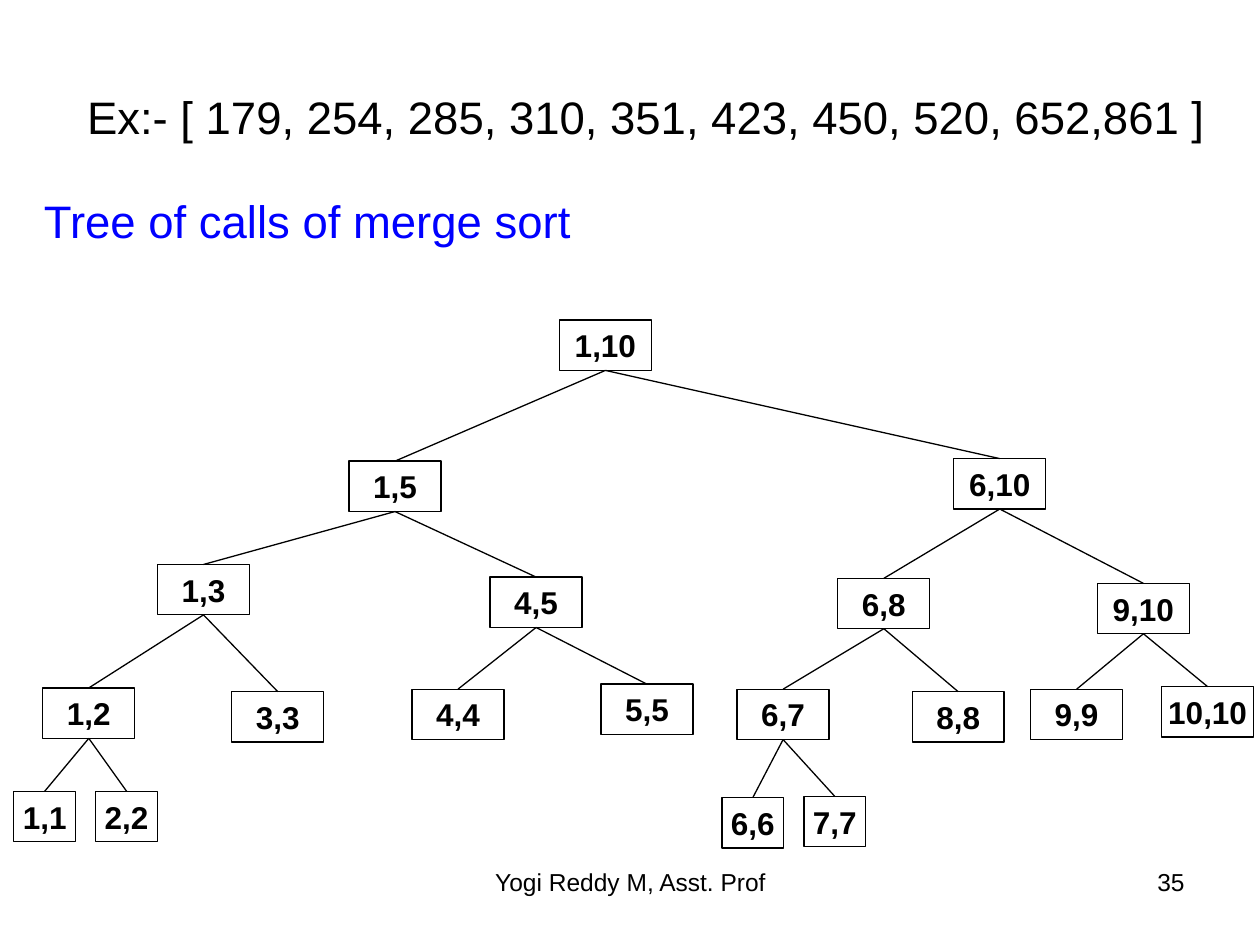
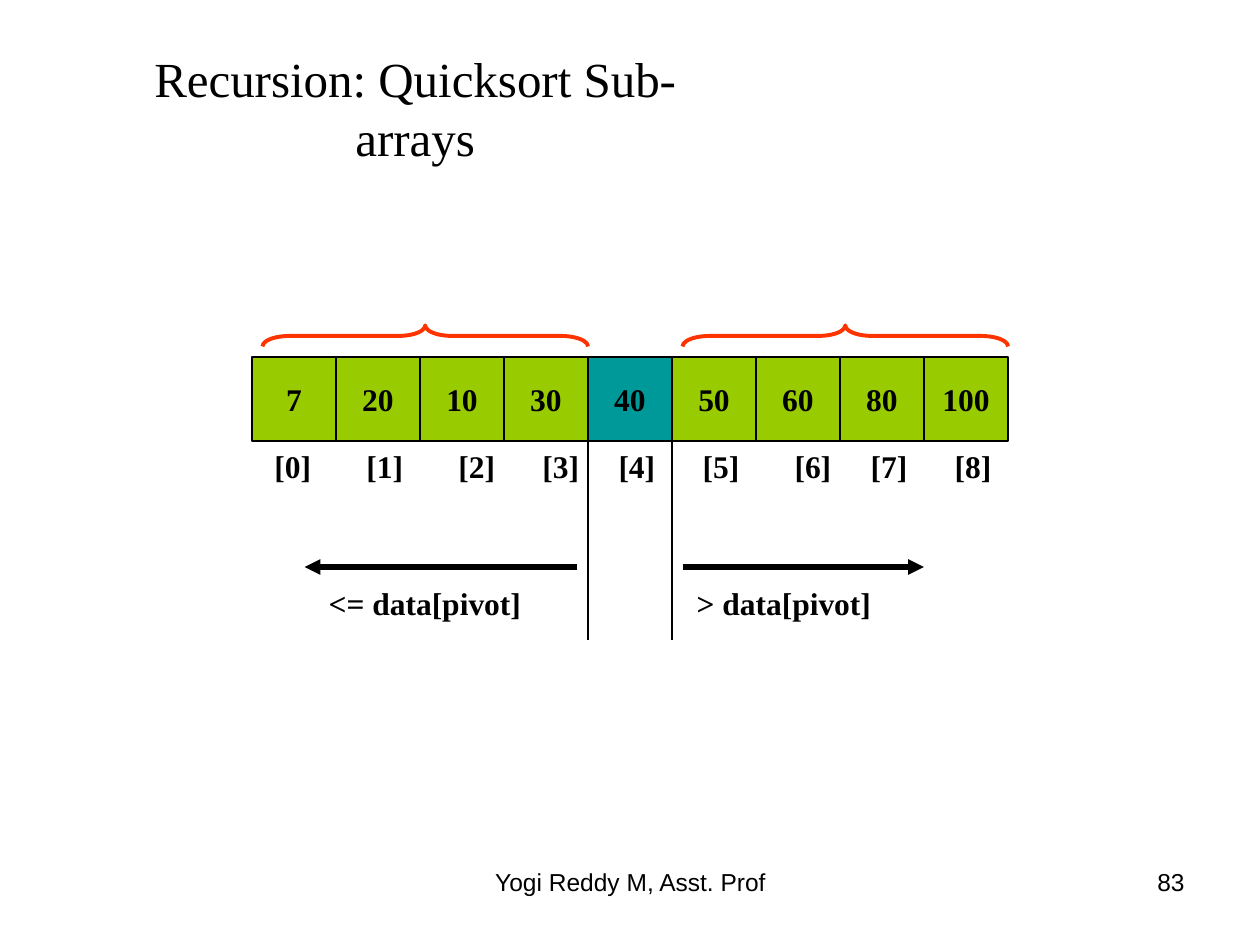
"""Build two slides: the call tree of merge sort and the sub-arrays of quicksort."""
from itertools import accumulate

from lxml.etree import SubElement
from pptx import Presentation
from pptx.dml.color import RGBColor
from pptx.enum.shapes import MSO_CONNECTOR, MSO_SHAPE
from pptx.enum.text import MSO_ANCHOR, PP_ALIGN
from pptx.oxml.ns import qn
from pptx.util import Inches, Pt

BLACK = RGBColor(0x00, 0x00, 0x00)
WHITE = RGBColor(0xFF, 0xFF, 0xFF)
BLUE = RGBColor(0x00, 0x00, 0xFF)
GREEN = RGBColor(0x99, 0xCC, 0x00)
TEAL = RGBColor(0x00, 0x99, 0x99)
RED = RGBColor(0xFF, 0x33, 0x00)
SANS, SERIF = "Arial", "Times New Roman"
LEFT, MID, RIGHT = PP_ALIGN.LEFT, PP_ALIGN.CENTER, PP_ALIGN.RIGHT
COLS, ROWS = 100, 75

SPOTS = {
    (1, 10): (44.4, 25.4),
    (1, 5): (27.7, 36.6), (6, 10): (75.7, 36.4),
    (1, 3): (12.5, 44.8), (4, 5): (38.9, 45.8),
    (6, 8): (66.5, 45.9), (9, 10): (87.1, 46.3),
    (1, 2): (3.4, 54.6), (3, 3): (18.4, 54.9),
    (4, 4): (32.7, 54.7), (5, 5): (47.7, 54.3),
    (6, 7): (58.5, 54.7), (8, 8): (72.4, 54.9),
    (9, 9): (81.8, 54.7), (10, 10): (92.2, 54.5),
    (1, 1): (1.1, 62.8), (2, 2): (7.6, 62.8),
    (6, 6): (57.3, 63.3), (7, 7): (63.8, 63.2),
}
DATA = [7, 20, 10, 30, 40, 50, 60, 80, 100]
PIVOT = 4
CELL = 20 / 3
LABEL_GAPS = [7.3, 7.3, 6.67, 6.04, 6.67, 7.3, 6.04, 6.67]


class Deck:
    """Holds the style and the current slide, placed on a grid of columns and rows."""

    def __init__(self):
        self.file = Presentation()
        self.file.slide_width = Inches(10)
        self.file.slide_height = Inches(7.5)
        self.wide = self.file.slide_width / COLS
        self.high = self.file.slide_height / ROWS
        self.font = SANS

    def page(self, number, font):
        self.font = SANS
        slide = self.file.slides.add_slide(self.file.slide_layouts[6])
        self.items = slide.shapes
        self.text("Yogi Reddy M, Asst. Prof", (34.2, 68.3, 31.7, 5.2), 14, MID)
        self.text(str(number), (71.7, 68.3, 23.3, 5.2), 14, RIGHT)
        self.font = font

    def place(self, left, top, width, height):
        return (round(left * self.wide), round(top * self.high),
                round(width * self.wide), round(height * self.high))

    def label(self, shape, words, size, align, color=BLACK, bold=False, stops=()):
        para = shape.text_frame.paragraphs[0]
        para.text = words
        para.alignment = align
        if stops:
            tabs = SubElement(para._p.get_or_add_pPr(), qn("a:tabLst"))
            for stop in stops:
                SubElement(tabs, qn("a:tab"), pos=str(round(stop * self.wide)), algn="l")
        font = para.font
        font.name, font.size, font.bold = self.font, Pt(size), bold
        font.color.rgb = color

    def text(self, words, box, size, align=LEFT, anchor=MSO_ANCHOR.TOP, foot=0.05, **style):
        shape = self.items.add_textbox(*self.place(*box))
        frame = shape.text_frame
        frame.word_wrap = True
        frame.vertical_anchor = anchor
        frame.margin_bottom = Inches(foot)
        self.label(shape, words, size, align, **style)

    def block(self, words, box, fill):
        shape = self.items.add_shape(MSO_SHAPE.RECTANGLE, *self.place(*box))
        shape.shadow.inherit = False
        shape.fill.solid()
        shape.fill.fore_color.rgb = fill
        shape.line.color.rgb = BLACK
        shape.line.width = Pt(0.75)
        shape.text_frame.word_wrap = False
        shape.text_frame.vertical_anchor = MSO_ANCHOR.MIDDLE
        self.label(shape, words, 18, MID, bold=True)
        return shape

    def line(self, start=(0, 0), end=(0, 0), weight=0.75, arrow=False):
        link = self.items.add_connector(
            MSO_CONNECTOR.STRAIGHT, *self.place(*start, *end))
        link.line.color.rgb = BLACK
        link.line.width = Pt(weight)
        if arrow:
            SubElement(link.line._get_or_add_ln(), qn("a:tailEnd"), type="triangle")
        SubElement(link._element.spPr, qn("a:effectLst"))
        return link

    def join(self, upper, lower):
        link = self.line()
        link.begin_connect(upper, 2)
        link.end_connect(lower, 0)

    def brace(self, left, top, width, height):
        side = left + (width - height) / 2
        rise = top + (height - width) / 2
        shape = self.items.add_shape(
            MSO_SHAPE.LEFT_BRACE, *self.place(side, rise, height, width))
        shape.rotation = 90
        shape.adjustments[0] = 1.29
        shape.shadow.inherit = False
        shape.fill.background()
        shape.line.color.rgb = RED
        shape.line.width = Pt(2.25)

    def tree(self, low, high, depth=0):
        width = 7.3 if depth < 4 else 4.9
        node = self.block(f"{low},{high}", (*SPOTS[low, high], width, 4), WHITE)
        if low < high:
            half = (low + high) // 2
            for span in ((low, half), (half + 1, high)):
                self.join(node, self.tree(*span, depth + 1))
        return node


def merge(deck):
    deck.page(35, SANS)
    deck.text("Ex:- [ 179, 254, 285, 310, 351, 423, 450, 520, 652,861 ]",
              (5, 3, 92.7, 12.5), 26, MID, MSO_ANCHOR.MIDDLE)
    deck.text("Tree of calls of merge sort", (2.5, 14.8, 95.2, 6), 26, color=BLUE)
    deck.tree(1, 10)


def quick(deck):
    deck.page(83, SERIF)
    deck.text("Recursion: Quicksort Sub-arrays", (9.2, 7.5, 47.5, 6.7), 28, MID,
              MSO_ANCHOR.BOTTOM, foot=0.1)
    for i, value in enumerate(DATA):
        fill = TEAL if i == PIVOT else GREEN
        deck.block(str(value), (20 + i * CELL, 28.33, CELL, CELL), fill)
    deck.text("\t".join(f"[{i}]" for i in range(len(DATA))), (20.8, 35, 60, 4), 18,
              bold=True, stops=list(accumulate(LABEL_GAPS)))
    for edge in (PIVOT, PIVOT + 1):
        side = 20 + edge * CELL
        deck.line((side, 28.33), (side, 50.83))
    for start, end in ((45.83, 24.17), (54.17, 73.33)):
        deck.line((start, 45), (end, 45), 3, arrow=True)
    for words, left in (("<= data[pivot]", 25.1), ("> data[pivot]", 54.3)):
        deck.text(words, (left, 45.83, 20, 4), 18, bold=True)
    for left in (20.83, 54.17):
        deck.brace(left, 25.83, 25.83, 1.67)


def main():
    deck = Deck()
    merge(deck)
    quick(deck)
    deck.file.save("out.pptx")


if __name__ == "__main__":
    main()
